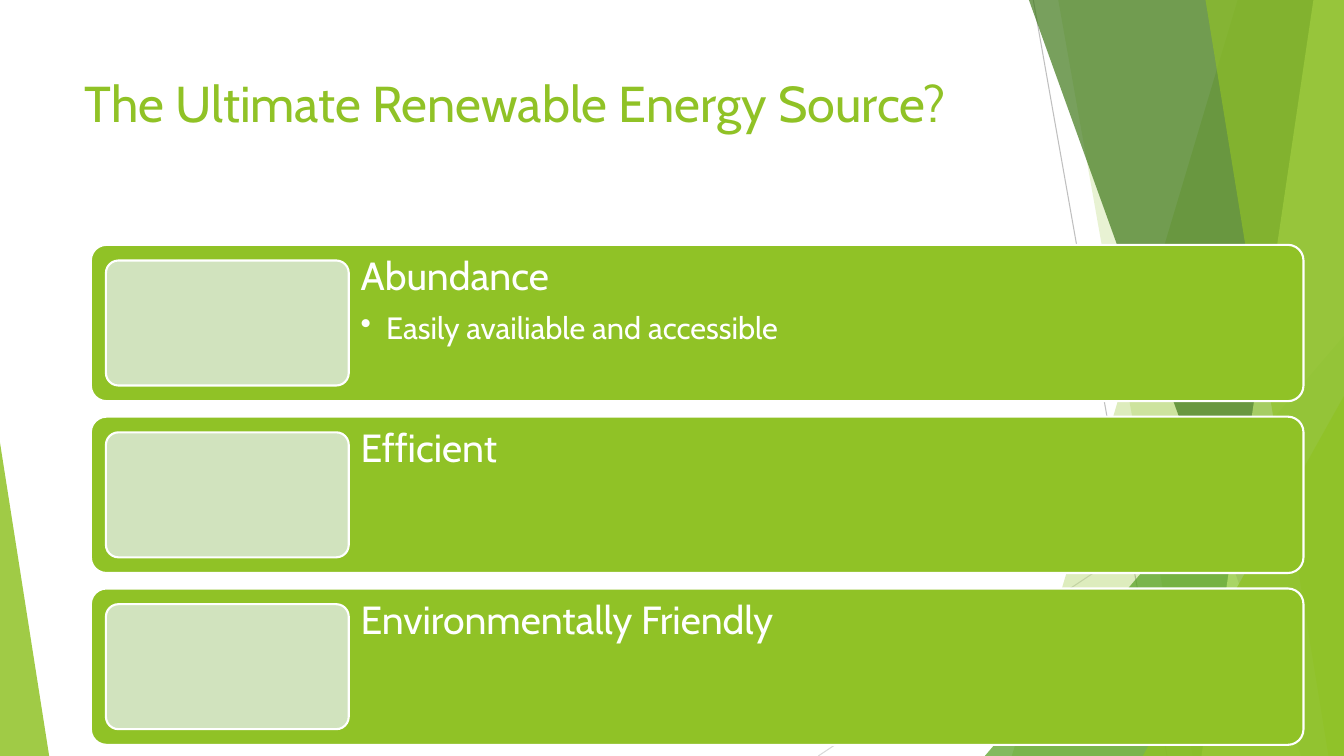
from dataclasses import dataclass

from lxml.etree import SubElement
from pptx import Presentation
from pptx.dml.color import RGBColor
from pptx.enum.shapes import MSO_CONNECTOR, MSO_SHAPE
from pptx.enum.text import MSO_ANCHOR, PP_ALIGN
from pptx.oxml.ns import qn
from pptx.shapes.autoshape import Shape
from pptx.slide import Slide
from pptx.text.text import TextFrame, _Paragraph
from pptx.util import Cm, Pt

WHITE = RGBColor(0xFF, 0xFF, 0xFF)
LIME = RGBColor(0x90, 0xC2, 0x26)
GREEN = RGBColor(0x54, 0xA0, 0x21)
DARK_GREEN = RGBColor(0x3F, 0x78, 0x19)
PALE_LIME = RGBColor(0xC0, 0xE4, 0x74)
PALE_GREEN = RGBColor(0xD1, 0xE3, 0xBE)
GRAY = RGBColor(0xBF, 0xBF, 0xBF)
LIGHT_GRAY = RGBColor(0xD9, 0xD9, 0xD9)

FONT = "Cabin"
SLIDE_WIDTH = 33.87
SLIDE_HEIGHT = 19.05
CARD_LEFT, CARD_TOP, CARD_WIDTH, CARD_HEIGHT = 2.29, 6.17, 30.56, 3.94
CARD_PITCH = 4.33
PANEL_LEFT, PANEL_WIDTH, PANEL_HEIGHT = 2.67, 6.12, 3.15
TEXT_LEFT = PANEL_LEFT + PANEL_WIDTH
BULLET_INDENT = 0.64


@dataclass(frozen=True)
class HairLine:
    start_x: float
    start_y: float
    end_x: float
    end_y: float
    color: RGBColor


@dataclass(frozen=True)
class Band:
    top_left: float
    bottom_left: float
    color: RGBColor
    opacity: int


@dataclass(frozen=True)
class Wedge:
    left: float
    top: float
    width: float
    apex: float
    color: RGBColor
    opacity: int


@dataclass(frozen=True)
class Card:
    heading: str
    bullets: tuple[str, ...] = ()


HAIR_LINES = (
    HairLine(26.04, 0, 29.41, SLIDE_HEIGHT, GRAY),
    HairLine(SLIDE_WIDTH, 10.24, 20.62, SLIDE_HEIGHT, LIGHT_GRAY),
)
FACETS = (
    Band(31.19, 25.5, LIME, 30),
    Band(26.67, 30.05, LIME, 20),
    Wedge(24.82, 8.46, 9.05, 1, GREEN, 72),
    Band(25.93, 32.79, DARK_GREEN, 70),
    Band(33.1, 30.28, PALE_LIME, 70),
    Band(30.38, 33.48, LIME, 65),
    Wedge(28.8, 9.98, 5.07, 1, LIME, 80),
    Wedge(0, 11.15, 1.24, 0, LIME, 85),
)
CARDS = (
    Card("Abundance", ("Easily availiable and accessible",)),
    Card("Efficient"),
    Card("Environmentally Friendly"),
)


def draw_hair_line(slide: Slide, line: HairLine) -> None:
    connector = slide.shapes.add_connector(
        MSO_CONNECTOR.STRAIGHT,
        Cm(line.start_x), Cm(line.start_y), Cm(line.end_x), Cm(line.end_y),
    )
    connector.line.color.rgb = line.color
    connector.line.width = Pt(0.75)
    SubElement(connector.element.spPr, qn("a:effectLst"))


def draw_facet(slide: Slide, facet: Band | Wedge) -> None:
    if isinstance(facet, Band):
        builder = slide.shapes.build_freeform(Cm(facet.top_left), 0)
        builder.add_line_segments((
            (Cm(SLIDE_WIDTH), 0),
            (Cm(SLIDE_WIDTH), Cm(SLIDE_HEIGHT)),
            (Cm(facet.bottom_left), Cm(SLIDE_HEIGHT)),
        ))
        shape = builder.convert_to_shape()
    else:
        shape = slide.shapes.add_shape(
            MSO_SHAPE.ISOSCELES_TRIANGLE,
            Cm(facet.left), Cm(facet.top),
            Cm(facet.width), Cm(SLIDE_HEIGHT - facet.top),
        )
        shape.adjustments[0] = facet.apex
    shape.shadow.inherit = False
    shape.line.fill.background()
    shape.fill.solid()
    shape.fill.fore_color.rgb = facet.color
    color_element = shape.element.spPr.find(f"{qn('a:solidFill')}/{qn('a:srgbClr')}")
    SubElement(color_element, qn("a:alpha"), val=str(facet.opacity * 1000))


def draw_rounded(slide: Slide, left: float, top: float, width: float,
                 height: float, color: RGBColor) -> Shape:
    shape = slide.shapes.add_shape(
        MSO_SHAPE.ROUNDED_RECTANGLE, Cm(left), Cm(top), Cm(width), Cm(height)
    )
    shape.adjustments[0] = 0.1
    shape.shadow.inherit = False
    shape.fill.solid()
    shape.fill.fore_color.rgb = color
    shape.line.color.rgb = WHITE
    shape.line.width = Pt(1.5)
    return shape


def add_text_frame(slide: Slide, left: float, top: float, width: float,
                   height: float) -> TextFrame:
    text_box = slide.shapes.add_textbox(Cm(left), Cm(top), Cm(width), Cm(height))
    text_frame = text_box.text_frame
    text_frame.word_wrap = True
    text_frame.vertical_anchor = MSO_ANCHOR.TOP
    return text_frame


def format_paragraph(paragraph: _Paragraph, size: int, color: RGBColor) -> None:
    paragraph.alignment = PP_ALIGN.LEFT
    for run in paragraph.runs:
        run.font.name = FONT
        run.font.size = Pt(size)
        run.font.color.rgb = color


def add_bullet(text_frame: TextFrame, text: str) -> None:
    paragraph = text_frame.add_paragraph()
    paragraph.text = text
    paragraph.level = 1
    paragraph.line_spacing = 0.9
    paragraph.space_after = Pt(3.3)
    format_paragraph(paragraph, 22, WHITE)
    properties = paragraph._p.get_or_add_pPr()
    properties.set("marL", str(Cm(BULLET_INDENT)))
    properties.set("indent", str(-Cm(BULLET_INDENT)))
    SubElement(properties, qn("a:buChar"), char="•")


def draw_card(slide: Slide, card: Card, top: float) -> None:
    draw_rounded(slide, CARD_LEFT, top, CARD_WIDTH, CARD_HEIGHT, LIME)
    text_frame = add_text_frame(
        slide, TEXT_LEFT, top, CARD_LEFT + CARD_WIDTH - TEXT_LEFT, CARD_HEIGHT
    )
    text_frame.margin_left = text_frame.margin_right = Cm(0.3)
    text_frame.margin_top = text_frame.margin_bottom = Cm(0.3)
    text_frame.text = card.heading
    heading = text_frame.paragraphs[0]
    heading.line_spacing = 0.9
    heading.space_after = Pt(9.8)
    format_paragraph(heading, 28, WHITE)
    for bullet in card.bullets:
        add_bullet(text_frame, bullet)
    panel_top = top + (CARD_HEIGHT - PANEL_HEIGHT) / 2
    draw_rounded(slide, PANEL_LEFT, panel_top, PANEL_WIDTH, PANEL_HEIGHT, PALE_GREEN)


def main() -> None:
    presentation = Presentation()
    presentation.slide_width = Cm(SLIDE_WIDTH)
    presentation.slide_height = Cm(SLIDE_HEIGHT)
    slide = presentation.slides.add_slide(presentation.slide_layouts[6])
    for line in HAIR_LINES:
        draw_hair_line(slide, line)
    for facet in FACETS:
        draw_facet(slide, facet)
    title = add_text_frame(slide, 1.88, 1.7, 23.88, 3.66)
    title.text = "The Ultimate Renewable Energy Source?"
    format_paragraph(title.paragraphs[0], 36, LIME)
    for index, card in enumerate(CARDS):
        draw_card(slide, card, CARD_TOP + index * CARD_PITCH)
    presentation.save("out.pptx")


if __name__ == "__main__":
    main()
